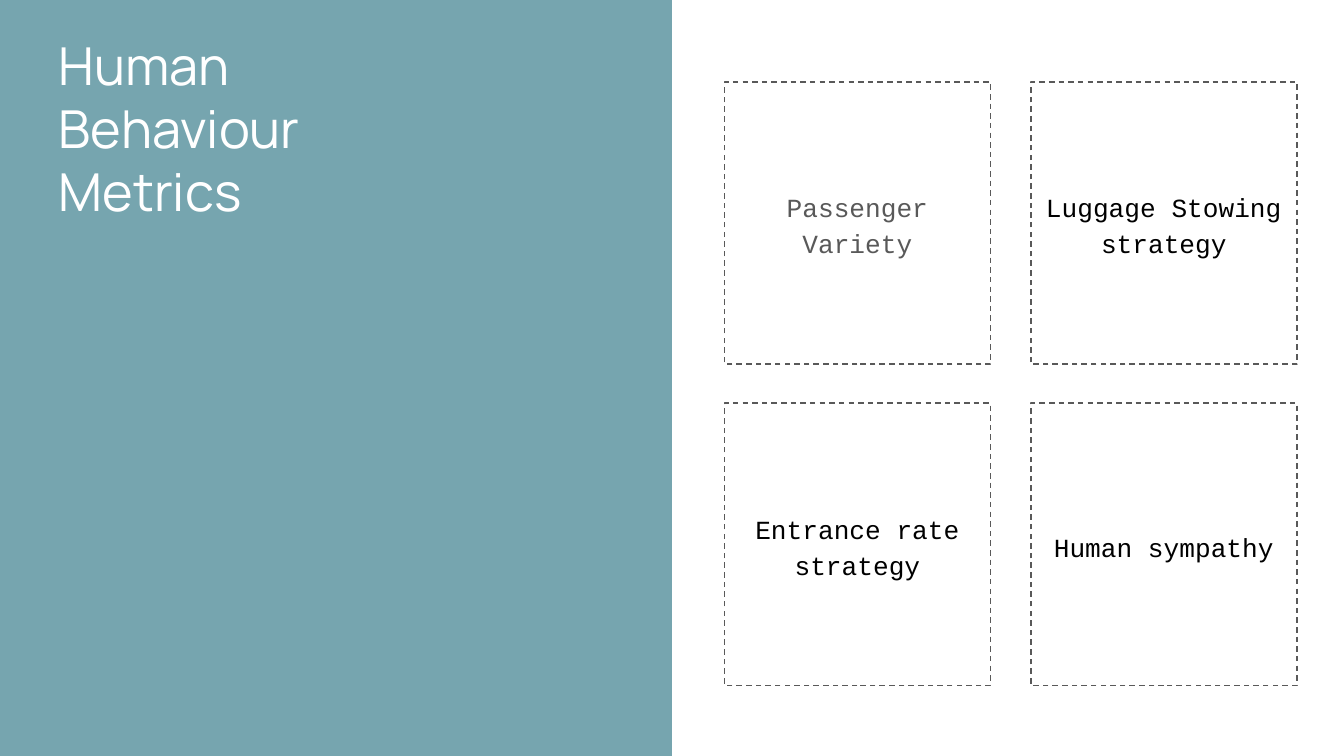
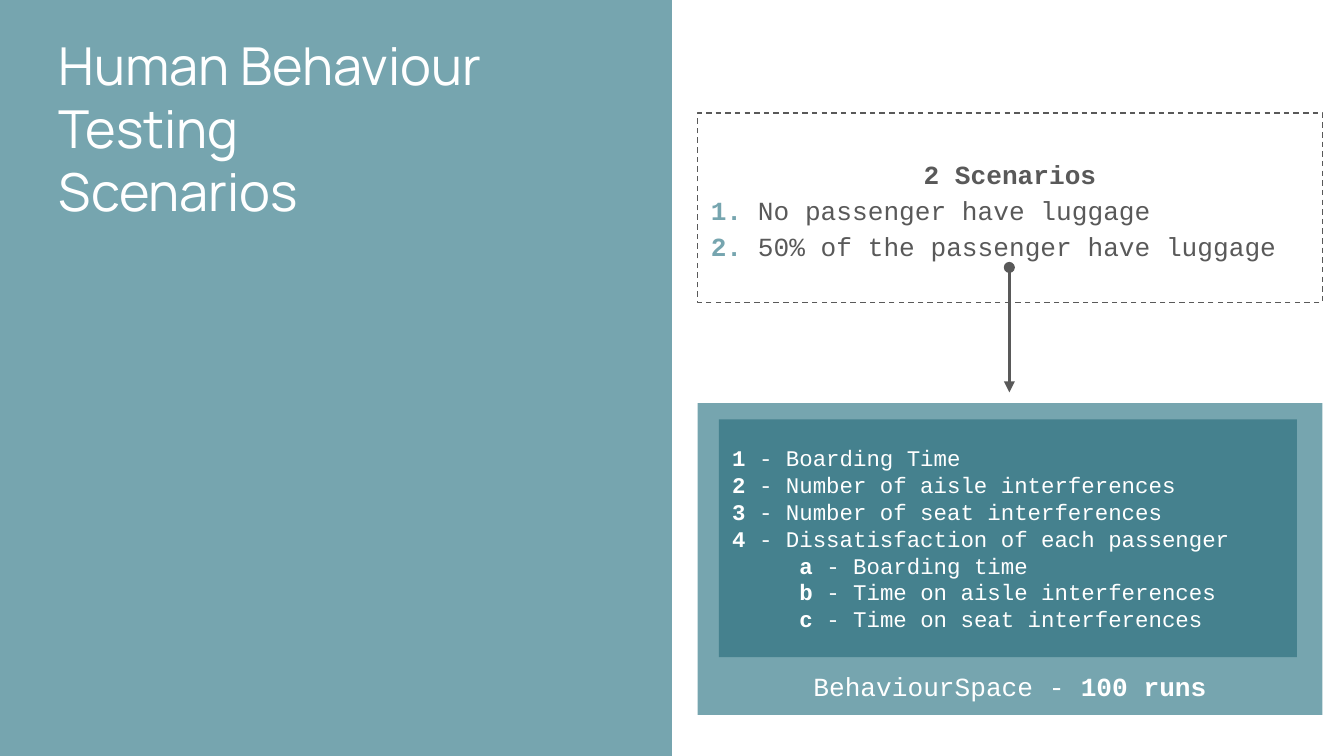
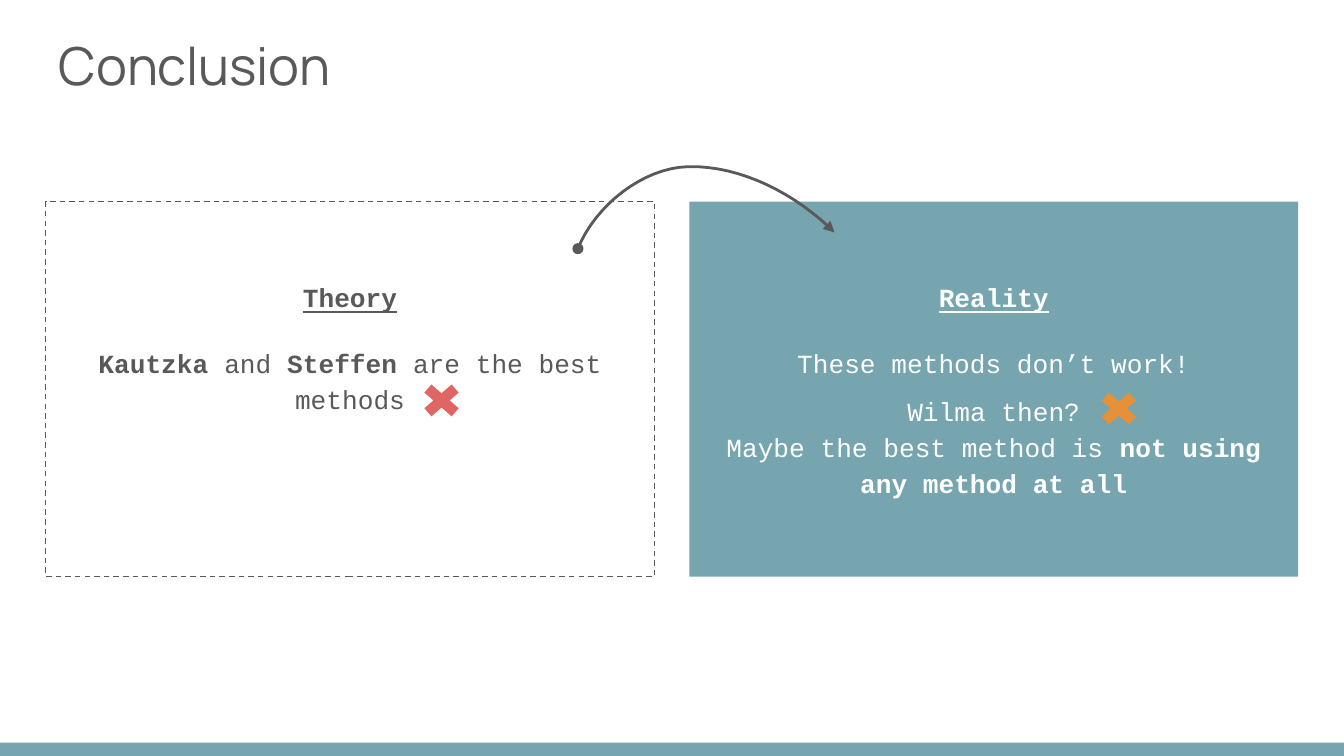
import lxml.etree
import pptx
import pptx.dml.color
import pptx.enum.dml
import pptx.enum.shapes
import pptx.enum.text
import pptx.oxml.ns
import pptx.util

Inches = pptx.util.Inches
Pt = pptx.util.Pt
SHAPE = pptx.enum.shapes.MSO_SHAPE
ANCHOR = pptx.enum.text.MSO_ANCHOR
ALIGN = pptx.enum.text.PP_ALIGN
COLOURS = {
    name: pptx.dml.color.RGBColor.from_string(value)
    for name, value in {
        "teal": "76A5AF", "deep": "45818E", "grey": "595959", "white": "FFFFFF",
        "black": "000000", "red": "E06666", "orange": "E69138",
    }.items()
}
WIDTH = 10
HEIGHT = WIDTH * 9 / 16
INSET = 0.1
BOLD, PLAIN = {"bold": True}, {}
HEADING = {"bold": True, "underline": True}
CENTRE = {"alignment": ALIGN.CENTER, "line_spacing": 1.15}
LEFT = {"alignment": ALIGN.LEFT, "line_spacing": 1.15}
SINGLE = {"alignment": ALIGN.LEFT}


def add_panel(page, place, fill=None, dashed=False, kind=SHAPE.RECTANGLE):
    """Add a flat shape at (left, top, width, height)."""
    panel = page.shapes.add_shape(kind, *map(Inches, place))
    panel.shadow.inherit = False
    if fill:
        panel.fill.solid()
        panel.fill.fore_color.rgb = COLOURS[fill]
    else:
        panel.fill.background()
    if dashed:
        panel.line.color.rgb = COLOURS["grey"]
        panel.line.width = Pt(0.75)
        panel.line.dash_style = pptx.enum.dml.MSO_LINE.DASH
    else:
        panel.line.fill.background()
    return panel


def write(box, paras, colour, size=14, font="Courier New", anchor=ANCHOR.MIDDLE, top=INSET):
    """Fill a box from (paragraph format, [(text, font format), ...]) pairs."""
    frame = box.text_frame
    frame_format = {
        "word_wrap": True, "vertical_anchor": anchor, "margin_left": Inches(INSET),
        "margin_right": Inches(INSET), "margin_bottom": Inches(INSET), "margin_top": Inches(top),
    }
    for name, value in frame_format.items():
        setattr(frame, name, value)
    for index, (para_format, spans) in enumerate(paras):
        para = frame.add_paragraph() if index else frame.paragraphs[0]
        for name, value in para_format.items():
            setattr(para, name, value)
        for text, span_format in spans:
            span = para.add_run()
            span.text = text
            values = {"name": font, "size": Pt(size), "colour": colour, **span_format}
            span.font.color.rgb = COLOURS[values.pop("colour")]
            for name, value in values.items():
                setattr(span.font, name, value)


deck = pptx.Presentation()
deck.slide_width, deck.slide_height = Inches(WIDTH), Inches(HEIGHT)

# Shared bands and titles
pages = []
for title, split in [
    (["Human", "Behaviour", "Metrics"], True),
    (["Human Behaviour", "Testing", "Scenarios"], True),
    (["Conclusion"], False),
]:
    page = deck.slides.add_slide(deck.slide_layouts[6])
    band = (0, 0, 5, HEIGHT) if split else (0, HEIGHT - 0.1, WIDTH, 0.1)
    add_panel(page, band, "teal")
    size = (3.67, 3.31) if split else (9.32, 0.63)
    heading = page.shapes.add_textbox(*map(Inches, (0.34, 0.15, *size)))
    write(heading, [(SINGLE, [(line, PLAIN)]) for line in title],
          "white" if split else "grey", size=28, font="Manrope", anchor=ANCHOR.TOP)
    pages.append(page)
metrics, scenarios, conclusion = pages

# Human behaviour metrics
for index, (metric, colour) in enumerate([
    ("Passenger Variety", "grey"),
    ("Entrance rate strategy", "black"),
    ("Luggage Stowing strategy", "black"),
    ("Human sympathy", "black"),
]):
    column, row = divmod(index, 2)
    place = (5.39 + 2.28 * column, 0.61 + 2.39 * row, 1.98, 2.1)
    card = add_panel(metrics, place, None if row else "white", dashed=True)
    write(card, [({**CENTRE, "space_after": Pt(16)}, [(metric, PLAIN)])], colour)

# Testing scenarios
cases = ["No passenger have luggage", "50% of the passenger have luggage"]
scenario_box = add_panel(scenarios, (5.19, 0.84, 4.65, 1.41), "white", dashed=True)
write(scenario_box, [(CENTRE, [("2 Scenarios", BOLD)])] + [
    (LEFT, [(f"{number}. ", {"bold": True, "colour": "teal"}), (case, PLAIN)])
    for number, case in enumerate(cases, 1)
], "grey")

runs_box = add_panel(scenarios, (5.19, 3, 4.65, 2.32), "teal")
write(runs_box, [({"alignment": ALIGN.CENTER}, [("BehaviourSpace - ", PLAIN), ("100 runs", BOLD)])],
      "white", anchor=ANCHOR.BOTTOM)

measures = {
    "1": "Boarding Time",
    "2": "Number of aisle interferences",
    "3": "Number of seat interferences",
    "4": "Dissatisfaction of each passenger",
    "a": "Boarding time",
    "b": "Time on aisle interferences",
    "c": "Time on seat interferences",
}
measure_box = add_panel(scenarios, (5.35, 3.12, 4.3, 1.77), "deep")
write(measure_box, [
    (SINGLE, [(mark, BOLD), (f" - {measure}", PLAIN)]) for mark, measure in measures.items()
], "white", size=12)
for mark, para in zip(measures, measure_box.text_frame.paragraphs):
    if mark.isalpha():
        properties = para._p.get_or_add_pPr()
        properties.set("marL", "0")
        properties.set("indent", str(Inches(0.5)))

down_arrow = scenarios.shapes.add_connector(
    pptx.enum.shapes.MSO_CONNECTOR.STRAIGHT, *map(Inches, (7.51, 1.99, 7.51, 2.92)))

# Conclusion
theory = add_panel(conclusion, (0.34, 1.5, 4.53, 2.79), "white", dashed=True)
reality = add_panel(conclusion, (5.13, 1.5, 4.53, 2.79), "teal")
SPACED = {**CENTRE, "space_before": Pt(16)}
write(theory, [
    (CENTRE, [("Theory", HEADING)]),
    (SPACED, [("Kautzka ", BOLD), ("and ", PLAIN), ("Steffen ", BOLD),
              ("are the best methods", PLAIN)]),
], "grey", anchor=ANCHOR.TOP, top=0.56)
write(reality, [
    (CENTRE, [("Reality", HEADING)]),
    (SPACED, [("These methods don’t work!", PLAIN)]),
    ({**CENTRE, "space_before": Pt(6.5)}, [("Wilma then?", PLAIN)]),
    (CENTRE, [("Maybe the best method is ", PLAIN), ("not using any method at all", BOLD)]),
], "white", anchor=ANCHOR.TOP, top=0.56)

curves = [
    [(4.3, 1.85), (4.43, 1.53), (4.78, 1.25), (5.12, 1.24)],
    [(5.12, 1.24), (5.52, 1.23), (5.93, 1.45), (6.21, 1.73)],
]
STEPS = 16
points = []
for curve in curves:
    for step in range(1, STEPS + 1):
        t = step / STEPS
        weights = [(1 - t) ** 3, 3 * t * (1 - t) ** 2, 3 * t ** 2 * (1 - t), t ** 3]
        points.append([Inches(sum(w * value for w, value in zip(weights, axis)))
                       for axis in zip(*curve)])
builder = conclusion.shapes.build_freeform(*map(Inches, curves[0][0]))
builder.add_line_segments(points, close=False)
curved_arrow = builder.convert_to_shape()
curved_arrow.fill.background()
curved_arrow.shadow.inherit = False

for left, top, colour in [(3.09, 2.81, "red"), (8.13, 2.87, "orange")]:
    cross = add_panel(conclusion, (left, top, 0.39, 0.34), colour, kind=SHAPE.MATH_MULTIPLY)
    cross.adjustments[0] = 0.235

# Arrow lines run from a dot to a triangle
for arrow in (down_arrow, curved_arrow):
    arrow.line.color.rgb = COLOURS["grey"]
    arrow.line.width = Pt(1.5)
    outline = arrow.line._get_or_add_ln()
    for end, style in (("a:headEnd", "oval"), ("a:tailEnd", "triangle")):
        lxml.etree.SubElement(outline, pptx.oxml.ns.qn(end), type=style)
lxml.etree.SubElement(down_arrow._element.spPr, pptx.oxml.ns.qn("a:effectLst"))

deck.save("out.pptx")
